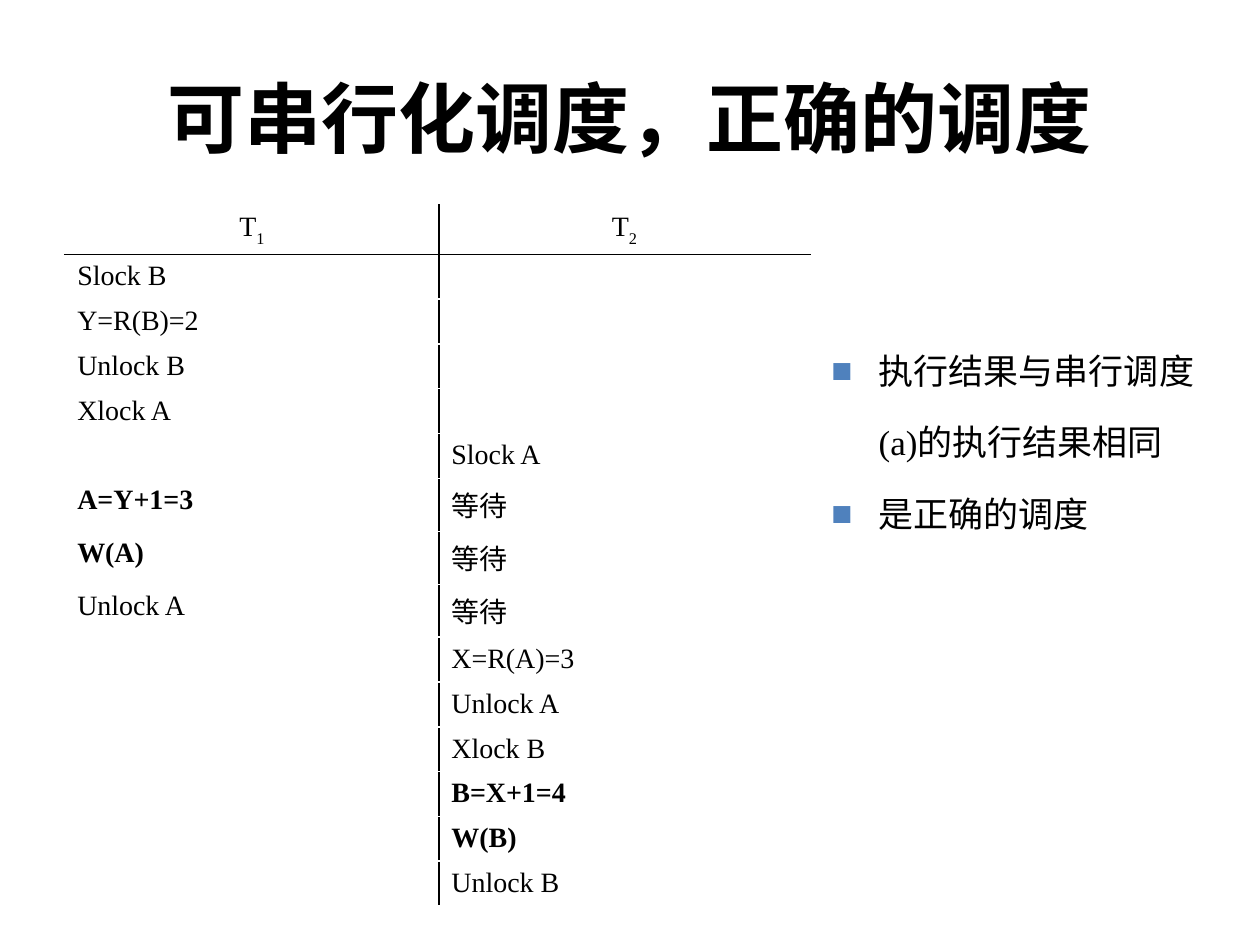
from lxml.etree import SubElement
from pptx import Presentation
from pptx.dml.color import RGBColor
from pptx.enum.text import MSO_ANCHOR, PP_ALIGN
from pptx.oxml.ns import qn
from pptx.util import Pt

TITLE = "可串行化调度，正确的调度"
TRANSACTIONS = [("T", "1"), ("T", "2")]
STEPS = [
    ("Slock B", ""),
    ("Y=R(B)=2", ""),
    ("Unlock B", ""),
    ("Xlock A", ""),
    ("", "Slock A"),
    ("A=Y+1=3", "等待"),
    ("W(A)", "等待"),
    ("Unlock A", "等待"),
    ("", "X=R(A)=3"),
    ("", "Unlock A"),
    ("", "Xlock B"),
    ("", "B=X+1=4"),
    ("", "W(B)"),
    ("", "Unlock B"),
]
WRITES = {"A=Y+1=3", "W(A)", "B=X+1=4", "W(B)"}
CONCLUSIONS = ["执行结果与串行调度(a)的执行结果相同", "是正确的调度"]

BLACK, WHITE, BLUE = "000000", "FFFFFF", "4F81BD"
SERIF = "Times New Roman"
COLUMN_WIDTHS = [213.8, 212]
HEADER_HEIGHT, STEP_HEIGHT, WAIT_HEIGHT = 28, 25.6, 30.3
HANGING = 27


def rgb(color):
    return RGBColor.from_string(color)


def write(paragraph, text, size=16, font=SERIF, color=BLACK, bold=False,
          align=PP_ALIGN.LEFT, hanging=HANGING, subscript=""):
    paragraph.alignment = align
    if hanging:
        properties = paragraph._p.get_or_add_pPr()
        properties.set("marL", str(Pt(hanging)))
        properties.set("indent", str(-Pt(hanging)))
    for part in filter(None, (text, subscript)):
        run = paragraph.add_run()
        run.text = part
        run.font.size = Pt(size)
        run.font.name = font
        run.font.bold = bold
        run.font.color.rgb = rgb(color)
    if subscript:
        run._r.get_or_add_rPr().set("baseline", "-30000")
    if not text:
        end = SubElement(paragraph._p, qn("a:endParaRPr"), sz=str(size * 100))
        SubElement(end, qn("a:latin"), typeface=font)


def add_bullet(paragraph, symbol, color):
    properties = paragraph._p.get_or_add_pPr()
    tint = SubElement(properties, qn("a:buClr"))
    SubElement(tint, qn("a:srgbClr"), val=color)
    SubElement(properties, qn("a:buFont"), typeface="Arial")
    SubElement(properties, qn("a:buChar"), char=symbol)


def set_borders(cell, **colors):
    properties = cell._tc.get_or_add_tcPr()
    for position, side in enumerate("LRTB"):
        border = properties.makeelement(qn(f"a:ln{side}"), {"w": str(Pt(1))})
        fill = SubElement(border, qn("a:solidFill"))
        SubElement(fill, qn("a:srgbClr"), val=colors.get(side, WHITE))
        properties.insert(position, border)


def add_schedule(slide):
    heights = [HEADER_HEIGHT] + [
        WAIT_HEIGHT if "等待" in step else STEP_HEIGHT for step in STEPS]
    schedule = slide.shapes.add_table(
        len(heights), len(COLUMN_WIDTHS), Pt(37), Pt(117),
        Pt(sum(COLUMN_WIDTHS)), Pt(sum(heights))).table
    schedule.first_row = schedule.horz_banding = False
    for column, width in zip(schedule.columns, COLUMN_WIDTHS):
        column.width = Pt(width)
    for row, height in zip(schedule.rows, heights):
        row.height = Pt(height)

    for r in range(len(heights)):
        for c in range(len(COLUMN_WIDTHS)):
            cell = schedule.cell(r, c)
            paragraph = cell.text_frame.paragraphs[0]
            if r == 0:
                name, number = TRANSACTIONS[c]
                write(paragraph, name, subscript=number, align=PP_ALIGN.CENTER)
            else:
                action = STEPS[r - 1][c]
                write(paragraph, action, bold=action in WRITES)
            cell.fill.background()
            set_borders(cell,
                        L=BLACK if c == 1 else WHITE,
                        R=BLACK if c == 0 else WHITE,
                        T=BLACK if r == 1 else WHITE,
                        B=BLACK if r == 0 else WHITE)


def add_conclusions(slide):
    frame = slide.shapes.add_textbox(
        Pt(468), Pt(179.3), Pt(232.6), Pt(129.6)).text_frame
    frame.word_wrap = True
    for i, conclusion in enumerate(CONCLUSIONS):
        paragraph = frame.add_paragraph() if i else frame.paragraphs[0]
        paragraph.line_spacing = 1.7
        write(paragraph, conclusion, size=20)
        add_bullet(paragraph, "■", BLUE)


def main():
    deck = Presentation()
    deck.slide_width, deck.slide_height = Pt(720), Pt(540)
    slide = deck.slides.add_slide(deck.slide_layouts[5])
    title = slide.shapes.title
    title.left, title.top, title.width, title.height = map(
        Pt, (36, 21.6, 648, 90))
    title.text_frame.vertical_anchor = MSO_ANCHOR.MIDDLE
    write(title.text_frame.paragraphs[0], TITLE, size=44, font="Arial",
          bold=True, align=PP_ALIGN.CENTER, hanging=0)
    add_schedule(slide)
    add_conclusions(slide)
    deck.save("out.pptx")


if __name__ == "__main__":
    main()
